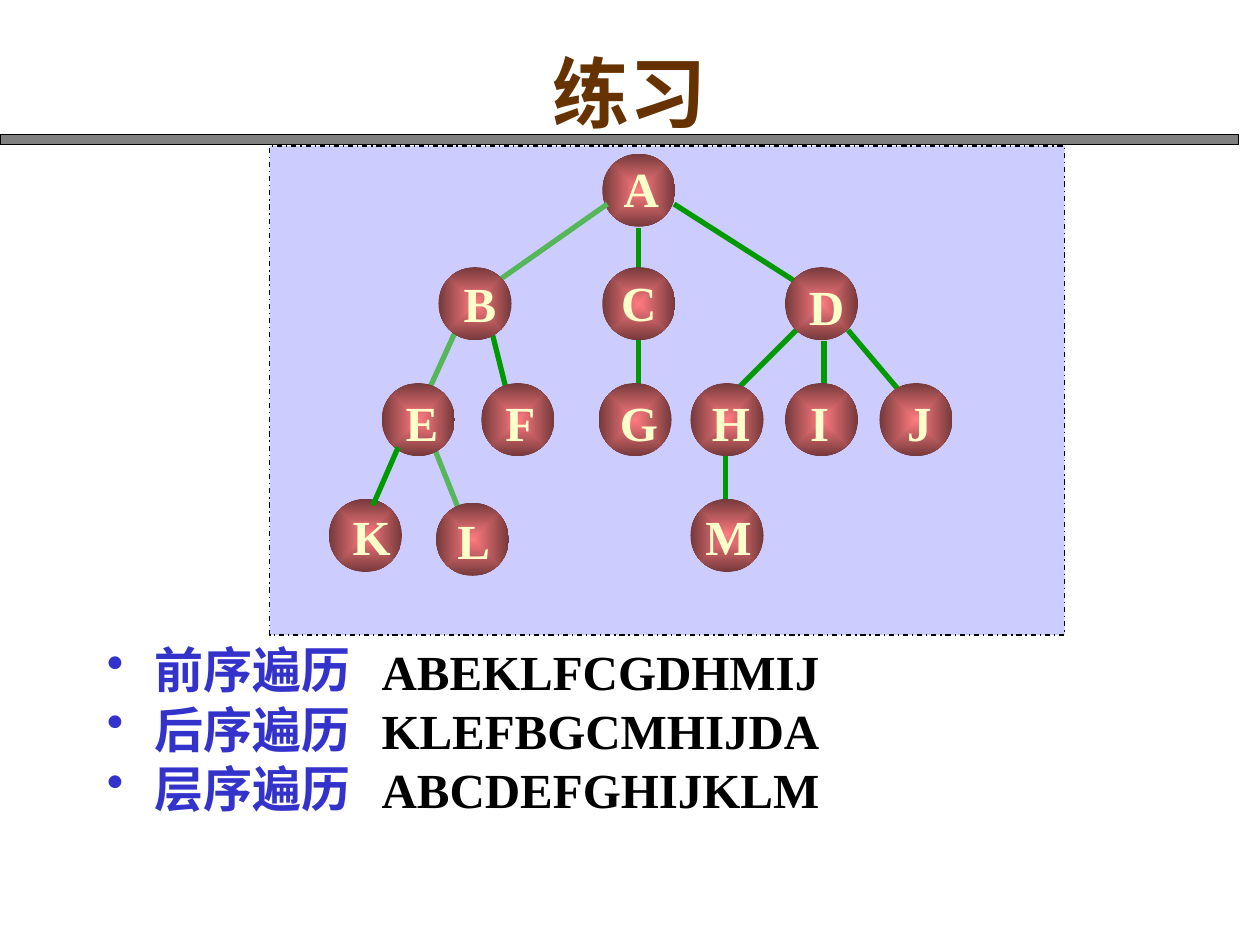
from lxml import etree
from pptx import Presentation
from pptx.dml.color import RGBColor
from pptx.enum.dml import MSO_LINE
from pptx.enum.shapes import MSO_CONNECTOR, MSO_SHAPE
from pptx.enum.text import MSO_ANCHOR, PP_ALIGN
from pptx.oxml import parse_xml
from pptx.oxml.ns import nsdecls, qn
from pptx.util import Inches, Pt

RECTANGLE, OVAL = MSO_SHAPE.RECTANGLE, MSO_SHAPE.OVAL
STRAIGHT, DASH_DOT = MSO_CONNECTOR.STRAIGHT, MSO_LINE.DASH_DOT
CENTER, MIDDLE = PP_ALIGN.CENTER, MSO_ANCHOR.MIDDLE
FONT = "Times New Roman"
GREEN, LIGHT_GREEN = "009900", "55B75A"
NODE_SIZE = 0.58
LABEL_HEIGHT = 0.57
ROWS = [1.22, 2.12, 3.04, 3.96]

# Letter: level, circle left, label left, label width, label drop from the row
NODES = {
    "A": (0, 4.78, 4.85, 0.48, -0.01),
    "B": (1, 3.48, 3.58, 0.46, 0),
    "C": (1, 4.78, 4.83, 0.48, -0.01),
    "D": (1, 6.23, 6.32, 0.48, 0.02),
    "E": (2, 3.03, 3.12, 0.46, 0.02),
    "F": (2, 3.82, 3.91, 0.44, 0.02),
    "G": (2, 4.75, 4.82, 0.50, 0.02),
    "H": (2, 5.48, 5.55, 0.50, 0.02),
    "I": (2, 6.23, 6.33, 0.35, 0.02),
    "J": (2, 6.98, 7.10, 0.39, 0.02),
    "K": (3, 2.61, 2.70, 0.50, 0.01),
    "L": (3, 3.46, 3.53, 0.46, 0.04),
    "M": (3, 5.48, 5.50, 0.56, 0.01),
}
LOWERED = {"L": 0.03}

# Start x, y, end x, y, colour; the A-C-G edge is one line behind C
EDGES = [
    (6.73, 2.62, 7.23, 3.21, GREEN),
    (6.32, 2.62, 5.82, 3.12, GREEN),
    (6.54, 2.71, 6.54, 3.12, GREEN),
    (5.76, 3.62, 5.76, 4.12, GREEN),
    (5.35, 1.62, 6.40, 2.29, GREEN),
    (4.82, 1.62, 3.98, 2.21, LIGHT_GREEN),
    (5.07, 1.81, 5.07, 3.62, GREEN),
    (3.90, 2.62, 4.05, 3.22, GREEN),
    (3.44, 3.54, 3.64, 4.04, LIGHT_GREEN),
    (3.62, 2.62, 3.41, 3.08, LIGHT_GREEN),
    (3.16, 3.55, 2.96, 4.01, GREEN),
]
GRADIENT = (
    f'<a:gradFill {nsdecls("a")} rotWithShape="0"><a:gsLst>'
    '<a:gs pos="0"><a:srgbClr val="FF7C80"/></a:gs>'
    '<a:gs pos="100000"><a:srgbClr val="75393B"/></a:gs></a:gsLst>'
    '<a:path path="rect"><a:fillToRect l="50000" t="50000" r="50000" b="50000"/>'
    '</a:path></a:gradFill>'
)


def color(value):
    return RGBColor.from_string(value)


def format_text(para, size, value):
    for span in para.runs:
        span.font.size = Pt(size)
        span.font.name = FONT
        span.font.bold = True
        span.font.color.rgb = color(value)


deck = Presentation()
deck.slide_width, deck.slide_height = Inches(10), Inches(7.5)
page = deck.slides.add_slide(deck.slide_layouts[5])

# Title
title = page.shapes.title
title.left, title.top = Inches(0.75), Inches(0.28)
title.width, title.height = Inches(8.5), Inches(0.9)
title.text_frame.text = "练习"
title.text_frame.vertical_anchor = MIDDLE
title.text_frame.paragraphs[0].alignment = CENTER
format_text(title.text_frame.paragraphs[0], 44, "663300")

# Bar under the title and tree panel
tree = page.shapes.add_group_shape()
for parent, frame, fill in [
    (page, (0, 1.07, 9.83, 0.08), "808080"),
    (tree, (2.14, 1.16, 6.31, 3.88), "CCCCFF"),
]:
    panel = parent.shapes.add_shape(RECTANGLE, *map(Inches, frame))
    panel.shadow.inherit = False
    panel.fill.solid()
    panel.fill.fore_color.rgb = color(fill)
    panel.line.color.rgb = color("000000")
    panel.line.width = Pt(0.75)
panel.line.dash_style = DASH_DOT

# Tree layers: root circle, edges, other circles, letters, edge to K
layers = [("node", "A")]
layers += [("edge", edge) for edge in EDGES[:-1]]
layers += [("node", letter) for letter in list(NODES)[1:]]
layers += [("label", letter) for letter in NODES]
layers += [("edge", EDGES[-1])]

for kind, item in layers:
    if kind == "edge":
        edge = tree.shapes.add_connector(STRAIGHT, *map(Inches, item[:4]))
        edge.line.color.rgb = color(item[4])
        edge.line.width = Pt(3)
        etree.SubElement(edge._element.spPr, qn("a:effectLst"))
        continue
    level, left, label_left, label_width, drop = NODES[item]
    if kind == "node":
        top = ROWS[level] + LOWERED.get(item, 0)
        node = tree.shapes.add_shape(
            OVAL, Inches(left), Inches(top), Inches(NODE_SIZE), Inches(NODE_SIZE))
        node.shadow.inherit = False
        node.line.fill.background()
        node._element.spPr.find(qn("a:prstGeom")).addnext(parse_xml(GRADIENT))
    else:
        label = tree.shapes.add_textbox(
            Inches(label_left), Inches(ROWS[level] + drop),
            Inches(label_width), Inches(LABEL_HEIGHT))
        label.text_frame.text = item
        label.text_frame.word_wrap = False
        label.text_frame.vertical_anchor = MIDDLE
        label.text_frame.paragraphs[0].alignment = CENTER
        format_text(label.text_frame.paragraphs[0], 28, "FFFFCC")

# Traversal names and their answers
for frame, lines, value, bulleted in [
    ((0.75, 5.12, 2.19, 1.54), ["前序遍历", "后序遍历", "层序遍历"], "3333CC", True),
    ((2.93, 5.13, 6.15, 1.54),
     ["ABEKLFCGDHMIJ", "KLEFBGCMHIJDA", "ABCDEFGHIJKLM"], "000000", False),
]:
    box = page.shapes.add_textbox(*map(Inches, frame))
    box.text_frame.word_wrap = True
    box.text_frame.text = "\n".join(lines)
    for index, para in enumerate(box.text_frame.paragraphs):
        para.line_spacing = 0.8
        para.space_before = Pt(7 if index else 0)
        properties = para._p.get_or_add_pPr()
        properties.set("marL", str(Inches(0.38)))
        properties.set("indent", str(-Inches(0.38)))
        if bulleted:
            bullet_color = etree.SubElement(properties, qn("a:buClr"))
            etree.SubElement(bullet_color, qn("a:srgbClr"), val=value)
            etree.SubElement(properties, qn("a:buChar"), char="•")
        else:
            etree.SubElement(properties, qn("a:buNone"))
        format_text(para, 28, value)

deck.save("out.pptx")
